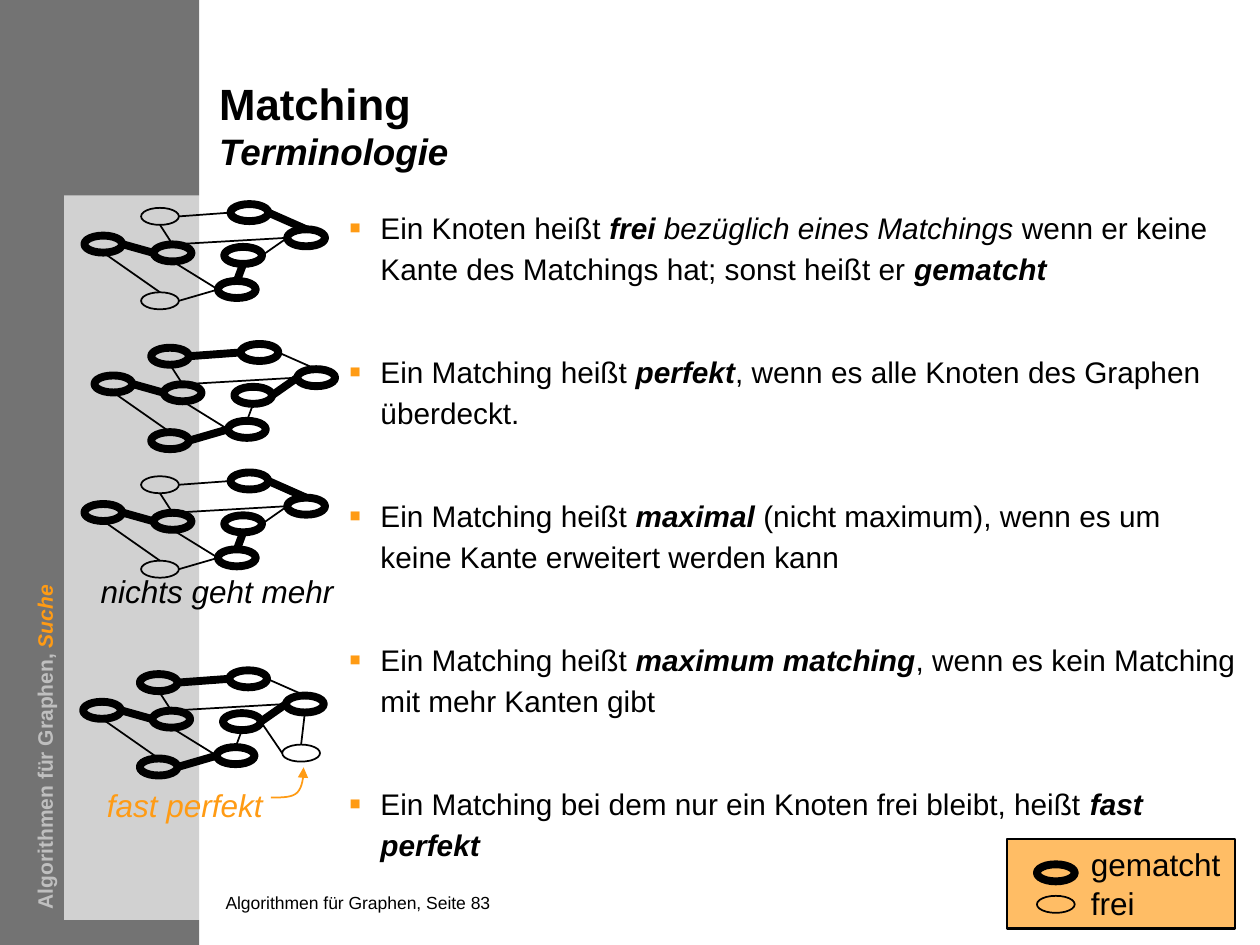
import pptx
import pptx.util
import pptx.dml.color
import pptx.enum.shapes
import pptx.enum.text
import pptx.oxml.ns
import lxml.etree

THEME = {
    "font": "Arial", "black": "000000", "sidebar": "737373", "white": "FFFFFF",
    "accent": "FF9B14", "legend": "FFBD65", "muted": "BFBFBF",
    "title": 25, "subtitle": 21, "body": 17, "label": 18, "side": 12, "footer": 10,
    "thick": 4.5, "thin": 1, "frame": 1.25,
}

TITLE = [("Matching", "b", "title"), ("Terminologie", "bi", "subtitle")]
DEFINITIONS = [
    [("Ein Knoten heißt ", ""), ("frei", "bi"), (" bezüglich eines Matchings", "i"),
     (" wenn er keine Kante des Matchings hat; sonst heißt er ", ""), ("gematcht", "bi")],
    [("Ein Matching heißt ", ""), ("perfekt", "bi"),
     (", wenn es alle Knoten des Graphen überdeckt.", "")],
    [("Ein Matching heißt ", ""), ("maximal", "bi"),
     (" (nicht maximum), wenn es um keine Kante erweitert werden kann", "")],
    [("Ein Matching heißt ", ""), ("maximum matching", "bi"),
     (", wenn es kein Matching mit mehr Kanten gibt", "")],
    [("Ein Matching bei dem nur ein Knoten frei bleibt, heißt ", ""), ("fast perfekt", "bi")],
]
LEGEND = [("gematcht", "thick", 68.6, 66.6), ("frei", "thin", 71.1, 69.7)]

NODES = {"A": (0, 2.5), "B": (11.1, 3.4), "C": (4.5, 7), "D": (16.1, 2),
         "E": (10.6, 6.1), "F": (5.5, 3.2), "G": (11.6, 0), "H": (4.5, 0.3)}
EDGES = [("A", "right", "F", "left"), ("H", "bottom", "F", "top"),
         ("H", "right", "G", "left"), ("A", "bottom", "C", "top"),
         ("E", "top", "B", "bottom"), ("D", "left", "B", "right"),
         ("E", "left", "F", "bottom"), ("G", "right", "D", "top"),
         ("F", "top", "D", "left"), ("C", "right", "E", "left")]
EXTRA_NODE = {"I": (15.8, 5.9)}
EXTRA_EDGES = [("B", "right", "I", "left"), ("I", "top", "D", "bottom")]
MAXIMAL = {"AF", "EB", "GD"}
PERFECT = {"AF", "HG", "DB", "CE"}
GRAPHS = [
    ((6.7, 16.2), NODES, EDGES, MAXIMAL),
    ((7.5, 27.3), NODES, EDGES, PERFECT),
    ((6.7, 37.5), NODES, EDGES, MAXIMAL),
    ((6.6, 53.2), NODES | EXTRA_NODE, EDGES + EXTRA_EDGES, PERFECT),
]
NODE_SIZE = (3, 1.35)
PORTS = {"left": (0, 0.5), "right": (1, 0.5), "top": (0.5, 0), "bottom": (0.5, 1)}
POINTER = [[(21.5, 63.3), (22.4, 63.3), (23.2, 63.3), (23.6, 62.9)],
           [(23.6, 62.9), (24, 62.5), (24.1, 61.7), (24.1, 60.9)]]

deck = pptx.Presentation()
deck.slide_width, deck.slide_height = pptx.util.Inches(10), pptx.util.Inches(7.5)
CELL = deck.slide_width / 100
slide = deck.slides.add_slide(deck.slide_layouts[6])


def grid(*cells):
    return [round(cell * CELL) for cell in cells]


def color(name):
    return pptx.dml.color.RGBColor.from_string(THEME[name])


def tag(parent, name, **attributes):
    return lxml.etree.SubElement(parent, pptx.oxml.ns.qn("a:" + name), attributes)


def stroke(line, weight, ink="black"):
    line.color.rgb = color(ink)
    line.width = pptx.util.Pt(THEME[weight])


def paint(part, fill=None, weight=None):
    part.shadow.inherit = False
    if fill:
        part.fill.solid()
        part.fill.fore_color.rgb = color(fill)
    else:
        part.fill.background()
    if weight:
        stroke(part.line, weight)
    else:
        part.line.fill.background()
    return part


def add_preset(home, preset, box, fill=None, weight=None):
    kind = getattr(pptx.enum.shapes.MSO_SHAPE, preset)
    return paint(home.add_shape(kind, *grid(*box)), fill, weight)


def add_frame(home, box, inset=True, wrap=True):
    holder = home.add_textbox(*grid(*box))
    frame = holder.text_frame
    frame.word_wrap = wrap
    frame.vertical_anchor = pptx.enum.text.MSO_ANCHOR.TOP
    if not inset:
        frame.margin_left = frame.margin_right = frame.margin_top = frame.margin_bottom = 0
    return holder, frame


def add_run(paragraph, words, size, style="", ink="black"):
    run = paragraph.add_run()
    run.text = words
    run.font.name = THEME["font"]
    run.font.size = pptx.util.Pt(THEME[size])
    run.font.bold, run.font.italic = "b" in style, "i" in style
    run.font.color.rgb = color(ink)


def add_label(home, words, box, style="", ink="black"):
    frame = add_frame(home, box, wrap=False)[1]
    add_run(frame.paragraphs[0], words, "label", style, ink)


def add_graph(origin, nodes, edges, matching):
    home = slide.shapes.add_group_shape().shapes
    matched = set("".join(matching))
    places = {n: (origin[0] + x, origin[1] + y) for n, (x, y) in nodes.items()}
    for node, place in places.items():
        add_preset(home, "OVAL", (*place, *NODE_SIZE),
                   weight="thick" if node in matched else "thin")
    for start, start_port, end, end_port in edges:
        ends = [places[node][axis] + PORTS[port][axis] * NODE_SIZE[axis]
                for node, port in ((start, start_port), (end, end_port)) for axis in (0, 1)]
        edge = home.add_connector(pptx.enum.shapes.MSO_CONNECTOR.STRAIGHT, *grid(*ends))
        stroke(edge.line, "thick" if start + end in matching else "thin")
        tag(edge._element.spPr, "effectLst")


def bezier(curve, t):
    weights = ((1 - t) ** 3, 3 * t * (1 - t) ** 2, 3 * t * t * (1 - t), t ** 3)
    return grid(*(sum(w * p[axis] for w, p in zip(weights, curve)) for axis in (0, 1)))


add_preset(slide.shapes, "RECTANGLE", (0, 0, 15.8, 75), "sidebar")
footer = add_frame(slide.shapes, (17.9, 70.8, 48.6, 2.1), inset=False)[1]
add_run(footer.paragraphs[0], "Algorithmen für Graphen, Seite 83", "footer")
add_preset(slide.shapes, "RECTANGLE", (79.9, 66.6, 18.1, 7.1), "legend", "frame")
panel = add_preset(slide.shapes, "RECTANGLE", (5.1, 15.5, 11.8, 57.5), "white")
tag(panel._element.spPr.find(".//" + pptx.oxml.ns.qn("a:srgbClr")), "alpha", val="68000")

heading = add_frame(slide.shapes, (17.4, 6.7, 51, 7.5), inset=False)[1].paragraphs[0]
heading.line_spacing = pptx.util.Pt(25.4)
for index, (words, style, size) in enumerate(TITLE):
    if index:
        heading.add_line_break()
    add_run(heading, words, size, style)

body = add_frame(slide.shapes, (17.7, 16.2, 80.7, 53.6), inset=False)[1]
for index, definition in enumerate(DEFINITIONS):
    paragraph = body.add_paragraph() if index else body.paragraphs[0]
    paragraph.line_spacing = 1.16
    paragraph.space_before = pptx.util.Pt(34.9 if index else 0)
    properties = paragraph._p.get_or_add_pPr()
    hang, indent = grid(12.5, -2.5)
    properties.set("marL", str(hang))
    properties.set("indent", str(indent))
    tag(tag(properties, "buClr"), "srgbClr", val=THEME["accent"])
    tag(properties, "buSzPct", val="120000")
    tag(properties, "buFont", typeface=THEME["font"])
    tag(properties, "buChar", char="▪")
    for words, style in definition:
        add_run(paragraph, words, "body", style)

legend = slide.shapes.add_group_shape().shapes
for words, weight, node_top, label_top in LEGEND:
    add_preset(legend, "OVAL", (82.3, node_top, *NODE_SIZE), weight=weight)
    add_label(legend, words, (85.6, label_top, 12.3, 4))

for graph in GRAPHS:
    add_graph(*graph)
add_label(slide.shapes, "nichts geht mehr", (7, 44.9, 20.5, 4), "i")
add_label(slide.shapes, "fast perfekt", (7.5, 61.9, 14.4, 4), "i", "accent")

bends = [bezier(curve, step / 8) for curve in POINTER for step in range(1, 9)]
outline = slide.shapes.build_freeform(*grid(*POINTER[0][0]))
outline.add_line_segments(bends, close=False)
pointer = paint(outline.convert_to_shape())
stroke(pointer.line, "thin", "accent")
tag(pointer.line._get_or_add_ln(), "tailEnd", type="triangle")

side_holder, side = add_frame(slide.shapes, (-19.8, 48.3, 46.7, 3))
side_holder.rotation = 270
add_run(side.paragraphs[0], "Algorithmen für Graphen, ", "side", "b", "muted")
add_run(side.paragraphs[0], "Suche", "side", "bi", "accent")

deck.save("out.pptx")
